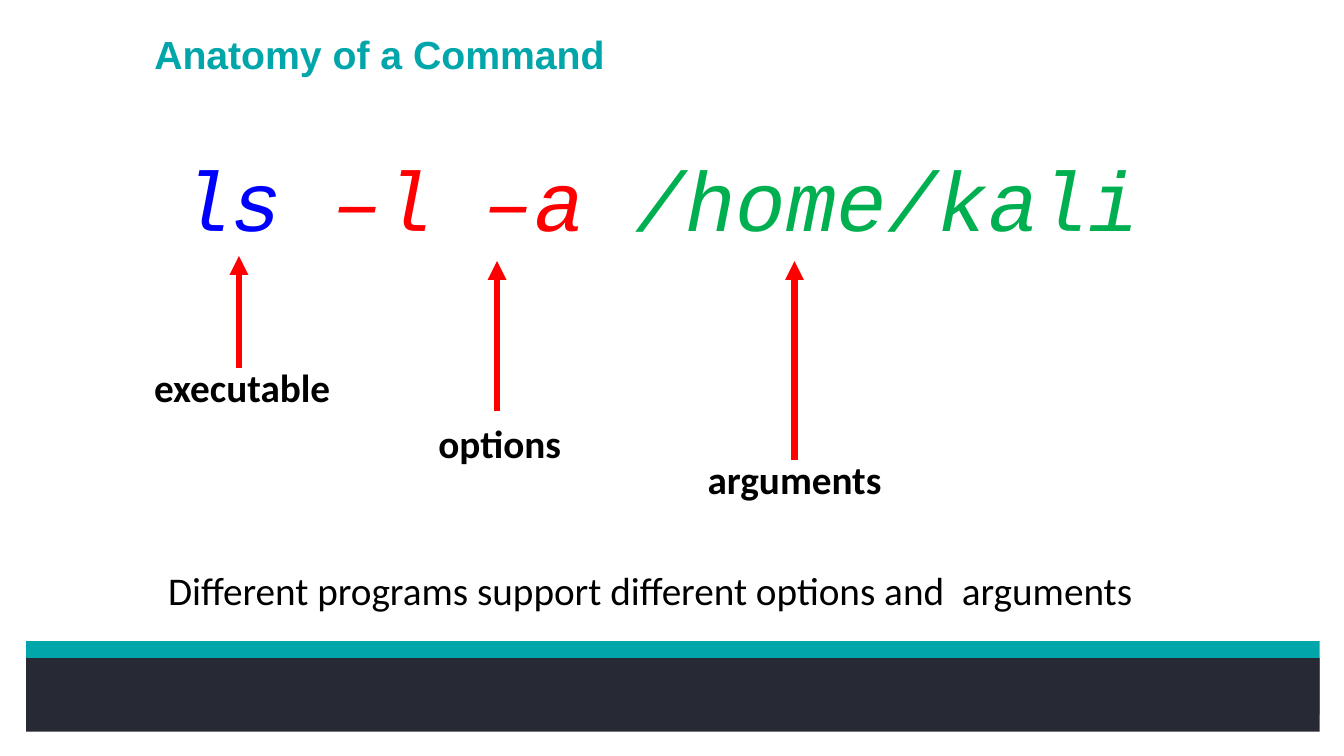
from dataclasses import dataclass

from lxml import etree
from pptx import Presentation
from pptx.dml.color import RGBColor
from pptx.enum import shapes, text
from pptx.oxml import ns
from pptx.util import Inches, Pt

TEAL = RGBColor(0x00, 0xA6, 0xAA)
NAVY = RGBColor(0x27, 0x29, 0x35)
BLUE = RGBColor(0x00, 0x00, 0xFF)
RED = RGBColor(0xFF, 0x00, 0x00)
GREEN = RGBColor(0x00, 0xB0, 0x50)
BLACK = RGBColor(0x00, 0x00, 0x00)

ARROW_WIDTH = Pt(4.5)
TIGHT = 0.9  # line spacing


@dataclass
class Run:
    wording: str
    color: RGBColor
    format: dict


@dataclass
class Part:
    """A piece of the command, its label and the arrow pointing up to it."""
    label: str
    left: float
    top: float
    arrow_x: float
    arrow_start: float
    arrow_end: float


TITLE_FORMAT = {"name": "Arial", "size": Pt(28), "bold": True}
COMMAND_FORMAT = {"name": "Courier New", "size": Pt(60), "italic": True}
LABEL_FORMAT = {"name": "Calibri", "size": Pt(28), "bold": True}
NOTE_FORMAT = {"name": "Calibri", "size": Pt(28)}

COMMAND = [
    Run("ls ", BLUE, COMMAND_FORMAT),
    Run("–l –a ", RED, COMMAND_FORMAT),
    Run("/home/kali", GREEN, COMMAND_FORMAT),
]
PARTS = [
    Part("executable", 1.43, 3.61, 2.37, 3.65, 2.54),
    Part("options", 4.25, 4.16, 4.93, 4.08, 2.59),
    Part("arguments", 6.92, 4.52, 7.88, 4.56, 2.59),
]


def fill_text(shape, runs: list[Run], line_spacing: float = 1.0) -> None:
    frame = shape.text_frame
    frame.word_wrap = True
    frame.auto_size = text.MSO_AUTO_SIZE.NONE
    frame.vertical_anchor = text.MSO_ANCHOR.TOP
    paragraph = frame.paragraphs[0]
    paragraph.alignment = text.PP_ALIGN.LEFT
    paragraph.line_spacing = line_spacing
    for item in runs:
        run = paragraph.add_run()
        run.text = item.wording
        run.font.color.rgb = item.color
        for attribute, value in item.format.items():
            setattr(run.font, attribute, value)


def add_text(slide, left: float, top: float, width: float, height: float,
             runs: list[Run], line_spacing: float = 1.0) -> None:
    box = slide.shapes.add_textbox(
        Inches(left), Inches(top), Inches(width), Inches(height))
    fill_text(box, runs, line_spacing)


def add_bar(slide, top: float, color: RGBColor) -> None:
    bar = slide.shapes.add_shape(
        shapes.MSO_SHAPE.RECTANGLE,
        Inches(0.26), Inches(top), Inches(12.83), Inches(0.73))
    bar.shadow.inherit = False
    bar.fill.solid()
    bar.fill.fore_color.rgb = color
    bar.line.fill.background()


def add_arrow(slide, part: Part) -> None:
    arrow = slide.shapes.add_connector(
        shapes.MSO_CONNECTOR.STRAIGHT,
        Inches(part.arrow_x), Inches(part.arrow_start),
        Inches(part.arrow_x), Inches(part.arrow_end))
    arrow.line.color.rgb = RED
    arrow.line.width = ARROW_WIDTH
    line = arrow.line._get_or_add_ln()
    etree.SubElement(line, ns.qn("a:tailEnd"), type="triangle")
    etree.SubElement(arrow._element.spPr, ns.qn("a:effectLst"))


def main() -> None:
    presentation = Presentation()
    presentation.slide_width = Inches(13.33)
    presentation.slide_height = Inches(7.5)
    title_only = presentation.slide_layouts[5]
    slide = presentation.slides.add_slide(title_only)

    # Footer bars
    add_bar(slide, 6.36, TEAL)
    add_bar(slide, 6.53, NAVY)

    # Title
    title = slide.shapes.title
    title.left, title.top = Inches(1.43), Inches(0.3)
    title.width, title.height = Inches(10.69), Inches(0.61)
    fill_text(title, [Run("Anatomy of a Command", TEAL, TITLE_FORMAT)], TIGHT)

    # Command with its labelled parts
    add_text(slide, 1.7, 1.53, 9.92, 1.33, COMMAND, TIGHT)
    for part in PARTS:
        add_text(slide, part.left, part.top, 2.05, 0.96,
                 [Run(part.label, BLACK, LABEL_FORMAT)], TIGHT)
        add_arrow(slide, part)

    # Closing remark
    remark = "Different programs support different options and  arguments"
    add_text(slide, 1.57, 5.57, 10.56, 0.57, [Run(remark, BLACK, NOTE_FORMAT)])

    presentation.save("out.pptx")


if __name__ == "__main__":
    main()
